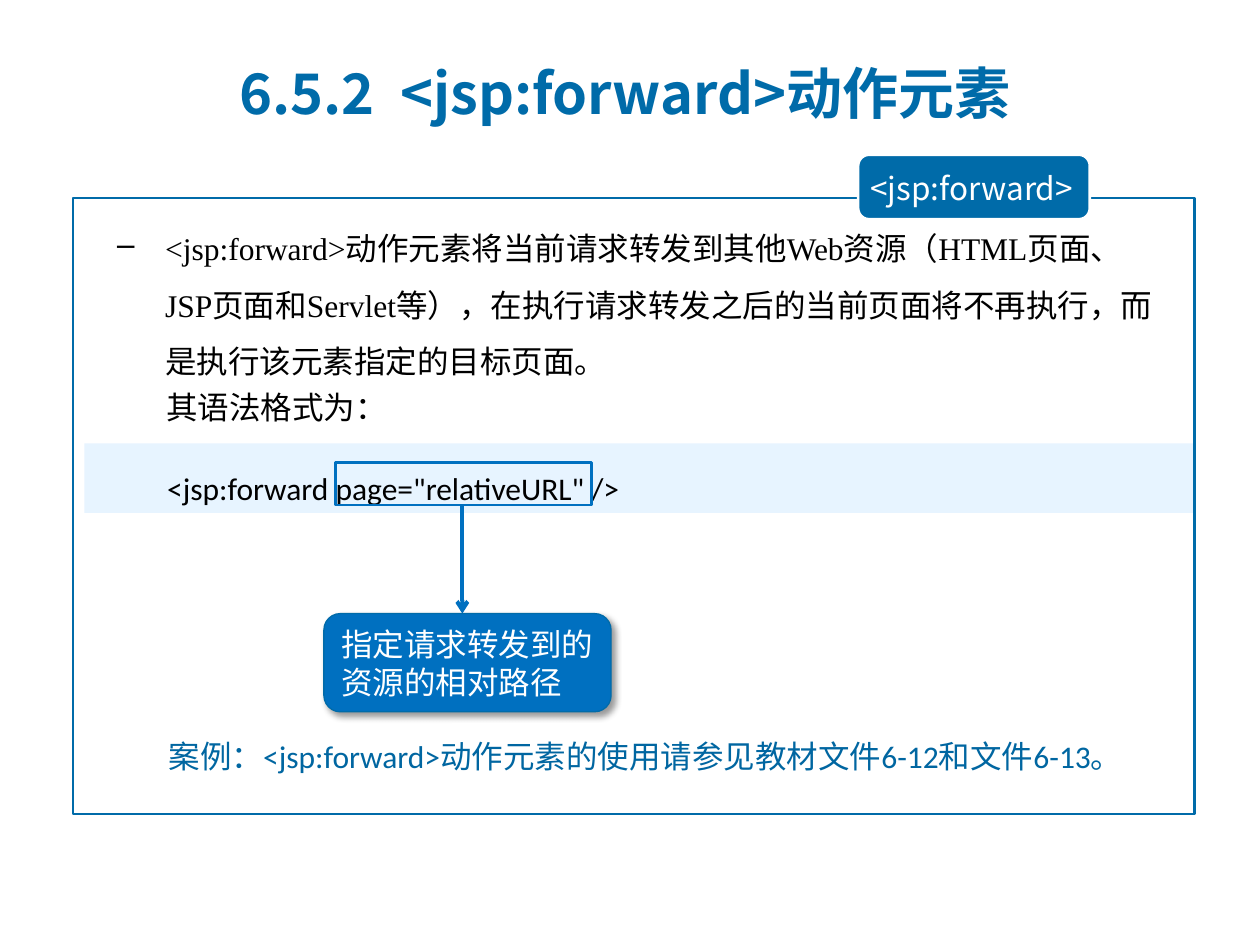
from lxml.etree import SubElement
from pptx import Presentation
from pptx.dml.color import RGBColor
from pptx.enum.shapes import MSO_CONNECTOR as Link, MSO_SHAPE as Preset
from pptx.enum.text import MSO_ANCHOR as Anchor, PP_ALIGN as Align
from pptx.oxml.ns import qn
from pptx.util import Cm, Pt

COLORS = {
    "deep": "006BA9",
    "accent": "0070C0",
    "case": "0066A1",
    "code": "E7F4FF",
    "white": "FFFFFF",
    "black": "000000",
}
CJK_FONT = "Noto Sans CJK SC"


def rgb(name):
    return RGBColor.from_string(COLORS[name])


def write(frame, text, font="Calibri", size=18, color="black", bold=False,
          wrap=True, anchor=Anchor.TOP, spacing=None, indent=0, bullet=None):
    """Fill a text frame; indent is in cm and hangs when there is a bullet."""
    frame.word_wrap = wrap
    frame.vertical_anchor = anchor
    paragraph = frame.paragraphs[0]
    paragraph.alignment = Align.LEFT
    if spacing:
        paragraph.line_spacing = spacing
    properties = paragraph._p.get_or_add_pPr()
    if indent:
        properties.set("marL", str(Cm(indent)))
    if bullet:
        properties.set("indent", str(-Cm(indent)))
        SubElement(properties, qn("a:buChar"), char=bullet)
    run = paragraph.add_run()
    run.text = text
    run.font.name = font
    run.font.size = Pt(size)
    run.font.bold = bold
    run.font.color.rgb = rgb(color)
    SubElement(run._r.get_or_add_rPr(), qn("a:ea"), typeface=CJK_FONT)


class SlideBuilder:
    def __init__(self, deck):
        self.slide = deck.slides.add_slide(deck.slide_layouts[5])

    def title(self, box, text, **style):
        heading = self.slide.shapes.title
        heading.left, heading.top, heading.width, heading.height = map(Cm, box)
        write(heading.text_frame, text, anchor=Anchor.MIDDLE, **style)

    def text(self, box, text, **style):
        holder = self.slide.shapes.add_textbox(*map(Cm, box))
        write(holder.text_frame, text, **style)

    def shape(self, box, preset=Preset.RECTANGLE, fill=None, line=None, width=1.5):
        item = self.slide.shapes.add_shape(preset, *map(Cm, box))
        item.shadow.inherit = False
        if fill:
            item.fill.solid()
            item.fill.fore_color.rgb = rgb(fill)
        else:
            item.fill.background()
        if line:
            item.line.color.rgb = rgb(line)
            item.line.width = Pt(width)
        else:
            item.line.fill.background()
        return item

    def drop_shadow(self, item):
        effects = item._element.spPr.find(qn("a:effectLst"))
        shadow = SubElement(effects, qn("a:outerShdw"), blurRad=str(Pt(4)),
                            dist=str(Pt(3)), dir=str(45 * 60000),
                            algn="tl", rotWithShape="0")
        tint = SubElement(shadow, qn("a:srgbClr"), val=COLORS["black"])
        SubElement(tint, qn("a:alpha"), val="40000")

    def arrow(self, start, end, color, width):
        link = self.slide.shapes.add_connector(
            Link.STRAIGHT, *map(Cm, (*start, *end)))
        link.line.color.rgb = rgb(color)
        link.line.width = Pt(width)
        SubElement(link.line._get_or_add_ln(), qn("a:tailEnd"), type="arrow")
        SubElement(link._element.spPr, qn("a:effectLst"))


def main():
    deck = Presentation()
    deck.slide_width, deck.slide_height = Cm(25.4), Cm(19.05)
    page = SlideBuilder(deck)

    page.title((4.57, 1.09, 16.94, 1.55), "6.5.2  <jsp:forward>动作元素",
               font=CJK_FONT, size=32, color="deep", bold=True)

    page.shape((1.47, 3.99, 22.61, 12.42), fill="white", line="deep")
    tab = page.shape((17.3, 3.12, 4.67, 1.3), Preset.ROUNDED_RECTANGLE,
                     fill="deep", line="white")
    tab.adjustments[0] = 0.17
    page.text((17.3, 3.28, 4.9, 1.02), "<jsp:forward>",
              font=CJK_FONT, color="white", wrap=False)

    page.text((2.11, 4.11, 21.64, 3.71),
              "<jsp:forward>动作元素将当前请求转发到其他Web资源（HTML页面、"
              "JSP页面和Servlet等），在执行请求转发之后的当前页面将不再执行，"
              "而是执行该元素指定的目标页面。",
              font="Times New Roman", spacing=1.5, indent=0.97, bullet="–")

    syntax = page.shape((1.7, 8.94, 22.35, 1.4), fill="code")
    write(syntax.text_frame, '<jsp:forward page="relativeURL" />',
          spacing=1.5, indent=1.42)
    page.text((3.1, 7.7, 5, 1.02), "其语法格式为：", wrap=False)

    page.shape((6.76, 9.32, 5.16, 0.86), line="accent")
    page.arrow((9.32, 10.18), (9.32, 12.37), color="accent", width=2.25)
    callout = page.shape((6.53, 12.37, 5.79, 1.98), Preset.ROUNDED_RECTANGLE,
                         fill="accent", line="deep", width=0.75)
    page.drop_shadow(callout)
    write(callout.text_frame, "指定请求转发到的资源的相对路径",
          color="white", anchor=Anchor.MIDDLE)

    page.text((3.15, 14.73, 19.94, 1.02),
              "案例：<jsp:forward>动作元素的使用请参见教材文件6-12和文件6-13。",
              color="case")

    deck.save("out.pptx")


if __name__ == "__main__":
    main()
